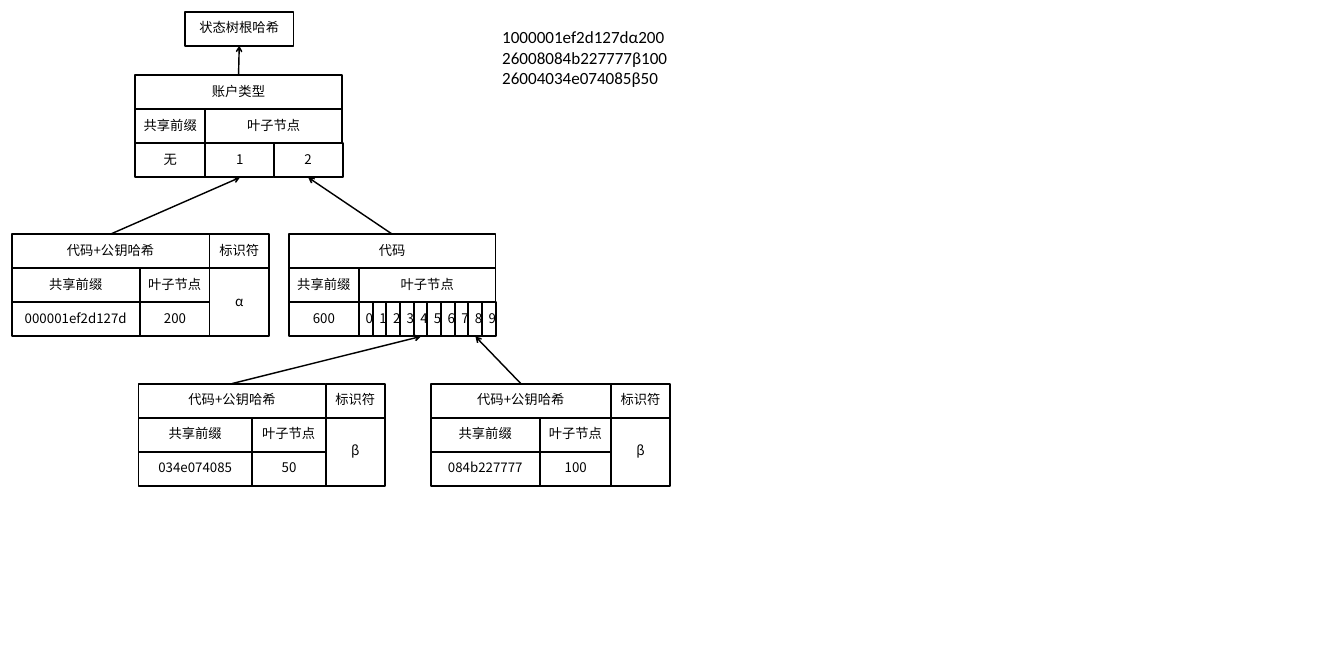
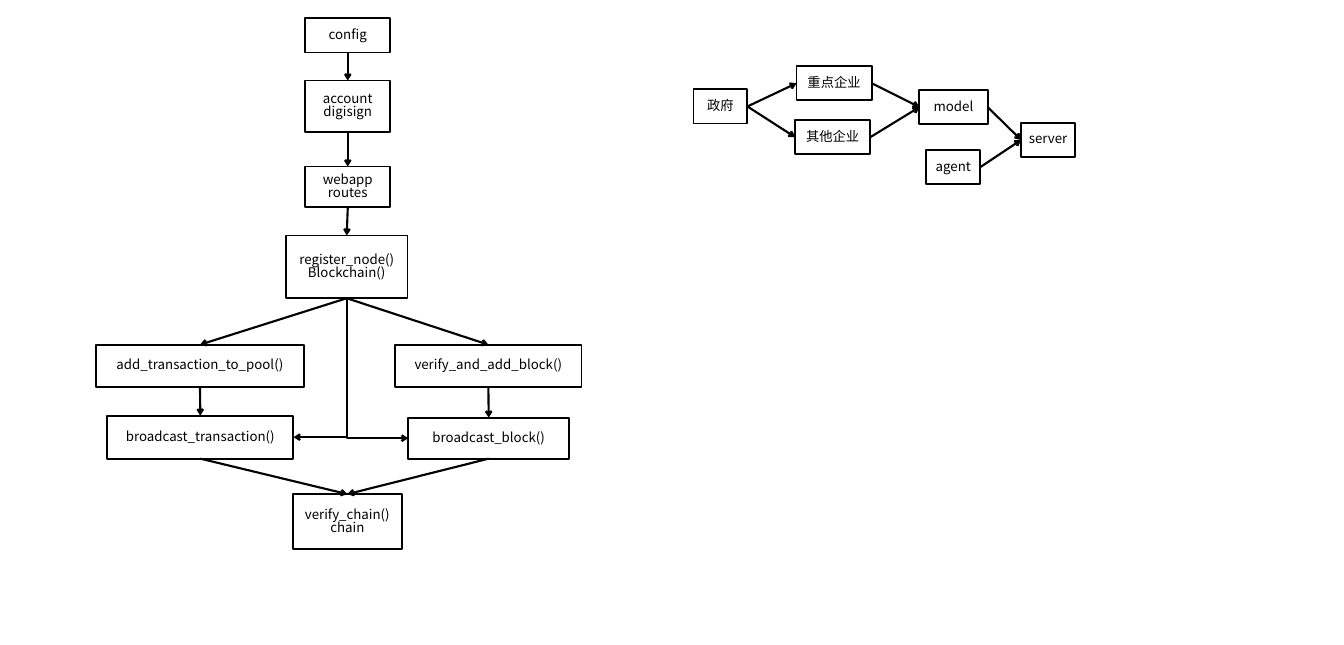
"""Draw a state tree and a module flow as two slides of boxes and arrows."""
import dataclasses
import typing

import lxml.etree
import pptx
import pptx.dml.color
import pptx.enum.shapes
import pptx.enum.text
import pptx.oxml.ns
import pptx.util

Inches = pptx.util.Inches
Pt = pptx.util.Pt
qn = pptx.oxml.ns.qn
Kind = pptx.enum.shapes.MSO_CONNECTOR
Rect = pptx.enum.shapes.MSO_SHAPE.RECTANGLE

INK = {"line": "000000", "fill": "FFFFFF"}
FONT = {"size": Pt(14), "name": "Noto Sans CJK SC"}
NOTE = {"size": Pt(18), "name": "Calibri"}
PARA = {"alignment": pptx.enum.text.PP_ALIGN.CENTER, "line_spacing": 0.85}
FRAME = {"word_wrap": True, "vertical_anchor": pptx.enum.text.MSO_ANCHOR.MIDDLE}
TOP, LEFT, BOTTOM, RIGHT = range(4)
ROW = 0.5


@dataclasses.dataclass
class Box:
    text: str
    x: float
    y: float
    w: float
    h: float = ROW


@dataclasses.dataclass
class Node:
    head: str
    prefix: str
    leaves: list[str]
    x: float
    y: float
    pre: float
    leaf: float
    tag: str = ""


@dataclasses.dataclass
class Link:
    start: str
    end: str
    out: int = BOTTOM
    into: int = TOP


NODES = {
    "type": Node("账户类型", "无", ["1", "2"], 1.98, 1.1, 1.03, 2),
    "alpha": Node("代码+公钥哈希", "000001ef2d127d", ["200"], 0.17, 3.43, 1.88, 1.02, "α"),
    "code": Node("代码", "600", list("0123456789"), 4.23, 3.43, 1.03, 2),
    "beta": Node("代码+公钥哈希", "034e074085", ["50"], 2.03, 5.62, 1.66, 1.08, "β"),
    "gamma": Node("代码+公钥哈希", "084b227777", ["100"], 6.31, 5.62, 1.6, 1.04, "β"),
}
TREE = [
    Link("type", "root", TOP, BOTTOM),
    Link("alpha", "type/1", TOP, BOTTOM),
    Link("code", "type/2", TOP, BOTTOM),
    Link("beta", "code/4", TOP, BOTTOM),
    Link("gamma", "code/8", TOP, BOTTOM),
]
KEYS = ["1000001ef2d127dα200", "26008084b227777β100", "26004034e074085β50"]

STEPS = {
    "config": Box("config", 4.47, 0.27, 1.25),
    "account": Box("account\ndigisign", 4.47, 1.18, 1.25, 0.75),
    "web": Box("webapp\nroutes", 4.47, 2.44, 1.25, 0.6),
    "chain": Box("register_node()\nBlockchain()", 4.19, 3.45, 1.78, 0.92),
    "add": Box("add_transaction_to_pool()", 1.41, 5.05, 3.04, 0.62),
    "block": Box("verify_and_add_block()", 5.79, 5.05, 2.73, 0.62),
    "send": Box("broadcast_transaction()", 1.57, 6.09, 2.73, 0.63),
    "cast": Box("broadcast_block()", 5.98, 6.12, 2.36, 0.6),
    "verify": Box("verify_chain()\nchain", 4.29, 7.24, 1.6, 0.81),
    "state": Box("政府", 10.16, 1.31, 0.79),
    "major": Box("重点企业", 11.67, 0.97, 1.1),
    "other": Box("其他企业", 11.65, 1.76, 1.1),
    "model": Box("model", 13.47, 1.32, 1),
    "agent": Box("agent", 13.57, 2.2, 0.79),
    "server": Box("server", 14.96, 1.8, 0.79),
}
FLOW = [
    Link("config", "account"),
    Link("account", "web"),
    Link("web", "chain"),
    Link("chain", "add"),
    Link("chain", "block"),
    Link("add", "send"),
    Link("block", "cast"),
    Link("send", "verify"),
    Link("cast", "verify"),
    Link("chain", "send", BOTTOM, RIGHT),
    Link("chain", "cast", BOTTOM, LEFT),
    Link("state", "major", RIGHT, LEFT),
    Link("state", "other", RIGHT, LEFT),
    Link("major", "model", RIGHT, LEFT),
    Link("other", "model", RIGHT, LEFT),
    Link("model", "server", RIGHT, LEFT),
    Link("agent", "server", RIGHT, LEFT),
]


def style(item: typing.Any, form: dict[str, typing.Any]) -> None:
    """Set each format value on the item."""
    for key, value in form.items():
        setattr(item, key, value)


def ink(name: str) -> pptx.dml.color.RGBColor:
    """Give the named colour."""
    return pptx.dml.color.RGBColor.from_string(INK[name])


def write(frame: typing.Any, lines: list[str], font: dict, para: dict) -> None:
    """Fill a text frame, one paragraph a line."""
    frame.text = "\n".join(lines)
    for part in frame.paragraphs:
        style(part, para)
        for run in part.runs:
            style(run.font, font)
            run.font.color.rgb = ink("line")
            east = lxml.etree.SubElement(run.font._element, qn("a:ea"))
            east.set("typeface", font["name"])


def draw_box(slide: typing.Any, box: Box) -> typing.Any:
    """Draw one outlined box with centred text."""
    spot = [Inches(n) for n in (box.x, box.y, box.w, box.h)]
    shape = slide.shapes.add_shape(Rect, *spot)
    shape.shadow.inherit = False
    shape.fill.solid()
    shape.fill.fore_color.rgb = ink("fill")
    shape.line.color.rgb = ink("line")
    shape.line.width = Pt(2)
    style(shape.text_frame, FRAME)
    write(shape.text_frame, box.text.split("\n"), FONT, PARA)
    return shape


def draw_node(slide: typing.Any, name: str, node: Node) -> dict[str, typing.Any]:
    """Draw a tree node and return its head and leaves by name."""
    mid, low = node.y + ROW, node.y + 2 * ROW
    split = node.x + node.pre
    edge = split + node.leaf
    made = {name: draw_box(slide, Box(node.head, node.x, node.y, node.pre + node.leaf))}
    draw_box(slide, Box("共享前缀", node.x, mid, node.pre))
    draw_box(slide, Box("叶子节点", split, mid, node.leaf))
    draw_box(slide, Box(node.prefix, node.x, low, node.pre))
    step = node.leaf / len(node.leaves)
    for i, text in enumerate(node.leaves):
        leaf = Box(text, split + i * step, low, step + 0.01)
        made[f"{name}/{text}"] = draw_box(slide, leaf)
    if node.tag:
        draw_box(slide, Box("标识符", edge, node.y, 0.87))
        draw_box(slide, Box(node.tag, edge, mid, 0.87, 2 * ROW))
    return made


def bend(line: typing.Any) -> None:
    """Turn a joined line into one corner that goes down, then sideways."""
    wide, tall = line.width, line.height
    west = line.end_x < line.begin_x
    x, y = line.left + (wide - tall) // 2, line.top + (tall - wide) // 2
    style(line, {"left": x, "top": y, "width": tall, "height": wide})
    props = line._element.spPr
    props.find(qn("a:prstGeom")).set("prst", "bentConnector2")
    form = props.find(qn("a:xfrm"))
    turn = {"rot": "5400000" if west else "16200000",
            "flipH": "0" if west else "1", "flipV": "0"}
    for key, value in turn.items():
        form.set(key, value)


def draw_links(slide: typing.Any, links: list[Link], made: dict, width: float) -> None:
    """Join the named shapes with arrows."""
    for link in links:
        bent = link.out == BOTTOM and link.into != TOP
        kind = Kind.ELBOW if bent else Kind.STRAIGHT
        line = slide.shapes.add_connector(kind, 0, 0, 0, 0)
        line.begin_connect(made[link.start], link.out)
        line.end_connect(made[link.end], link.into)
        if bent:
            bend(line)
        line.line.color.rgb = ink("line")
        line.line.width = Pt(width)
        props = line._element.spPr
        tail = lxml.etree.SubElement(props.find(qn("a:ln")), qn("a:tailEnd"))
        tail.set("type", "arrow")
        lxml.etree.SubElement(props, qn("a:effectLst"))


def draw_tree(slide: typing.Any) -> None:
    """Draw the state tree and its keys."""
    made = {"root": draw_box(slide, Box("状态树根哈希", 2.71, 0.17, 1.59))}
    for name, node in NODES.items():
        made.update(draw_node(slide, name, node))
    draw_links(slide, TREE, made, 1.5)
    spot = [Inches(n) for n in (7.26, 0.34, 2.83, 1.01)]
    frame = slide.shapes.add_textbox(*spot).text_frame
    frame.word_wrap = True
    write(frame, KEYS, NOTE, {})


def draw_flow(slide: typing.Any) -> None:
    """Draw the module flow."""
    made = {name: draw_box(slide, box) for name, box in STEPS.items()}
    draw_links(slide, FLOW, made, 2.25)


def main() -> None:
    """Build and save the deck."""
    deck = pptx.Presentation()
    style(deck, {"slide_width": Inches(19.69), "slide_height": Inches(9.45)})
    for draw in (draw_tree, draw_flow):
        draw(deck.slides.add_slide(deck.slide_layouts[6]))
    deck.save("out.pptx")


if __name__ == "__main__":
    main()
